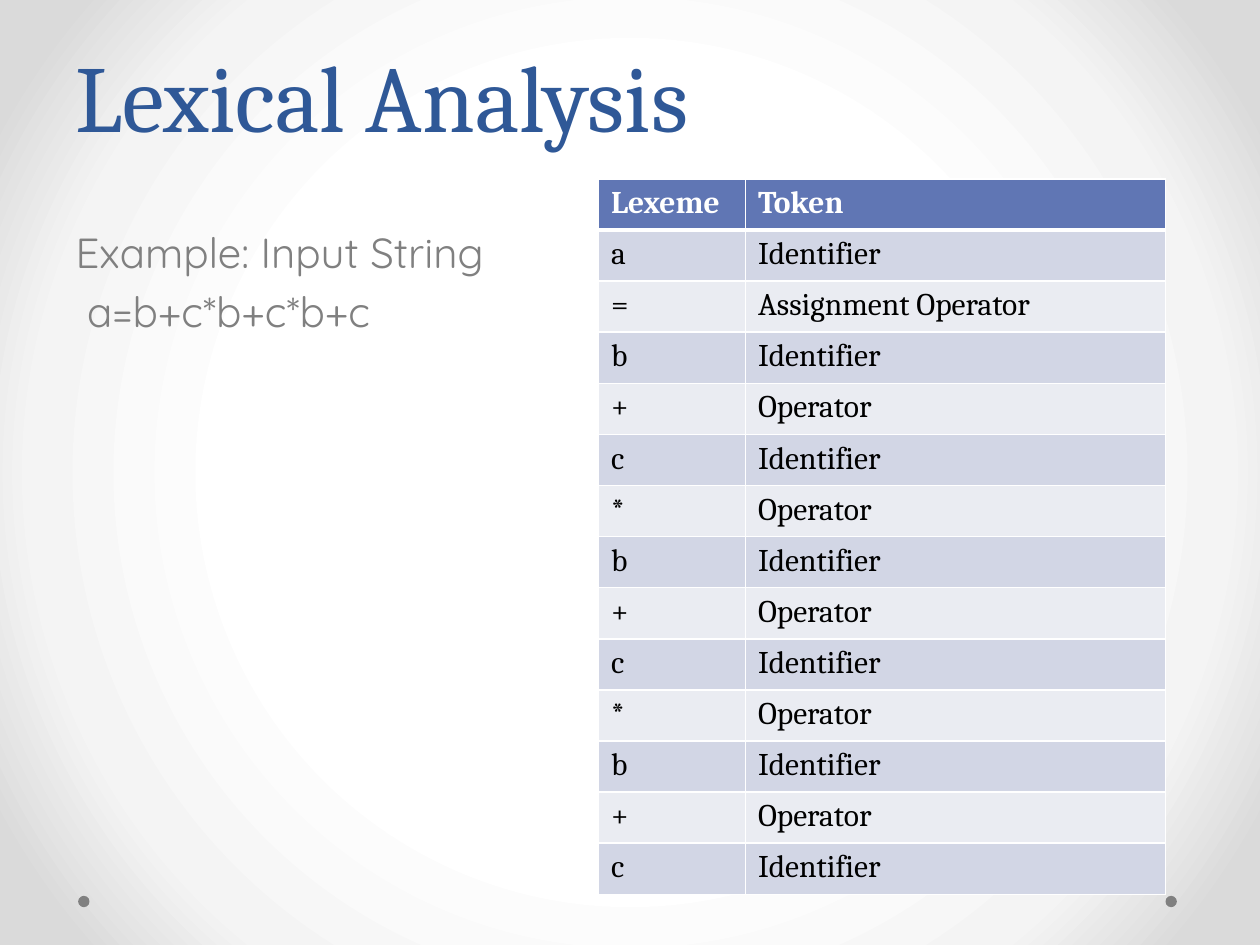
from pptx import Presentation
from pptx.dml.color import RGBColor
from pptx.enum.shapes import MSO_SHAPE as Kind
from pptx.enum.text import MSO_ANCHOR as Anchor, PP_ALIGN as Align
from pptx.oxml import parse_xml
from pptx.oxml.ns import nsdecls, qn
from pptx.util import Inches, Pt

WIDE, HIGH = Inches(10), Inches(7.5)
COLS = 120
UNIT = WIDE // COLS

BLUE = RGBColor(0x2F, 0x58, 0x97)
GRAY = RGBColor(0x80, 0x80, 0x80)
HEAD = RGBColor(0x60, 0x76, 0xB4)
DARK = RGBColor(0xD2, 0xD6, 0xE5)
PALE = RGBColor(0xEA, 0xEC, 0xF2)
SMOKE = RGBColor(0xF4, 0xF4, 0xF4)
ASH = RGBColor(0xDA, 0xDA, 0xDA)
WHITE = RGBColor(0xFF, 0xFF, 0xFF)
BLACK = RGBColor(0, 0, 0)

KINDS = {"=": "Assignment Operator", "+": "Operator", "*": "Operator"}
INPUT = "a=b+c*b+c*b+c"


def grid(*cells):
    return [round(cell * UNIT) for cell in cells]


def place(shape, box):
    shape.left, shape.top, shape.width, shape.height = grid(*box)


def write(para, text, font="Cambria", size=18, color=BLACK, bold=False):
    run = para.add_run()
    run.text = text
    run.font.name = font
    run.font.size = Pt(size)
    run.font.bold = bold
    run.font.color.rgb = color


def paint(slide):
    fill = slide.background.fill
    fill.solid()
    stops = "".join(
        f'<a:gs pos="{share * 1000}"><a:srgbClr val="{color}"/></a:gs>'
        for share, color in ((50, WHITE), (76, SMOKE), (92, ASH))
    )
    glow = parse_xml(
        f'<a:gradFill {nsdecls("a")} rotWithShape="1"><a:gsLst>{stops}</a:gsLst>'
        '<a:path path="circle"><a:fillToRect l="50000" t="50000" r="50000" b="50000"/>'
        "</a:path></a:gradFill>"
    )
    flat = next(slide.background._cSld.iter(qn("a:solidFill")))
    flat.getparent().replace(flat, glow)


def dots(slide, box):
    left, top, width, size = box
    for edge in (left, left + width - size):
        dot = slide.shapes.add_shape(Kind.OVAL, *grid(edge, top, size, size))
        dot.shadow.inherit = False
        dot.fill.solid()
        dot.fill.fore_color.rgb = GRAY
        dot.line.fill.background()


def title(slide, box):
    shape = slide.shapes.title
    place(shape, box)
    shape.text_frame.vertical_anchor = Anchor.BOTTOM
    para = shape.text_frame.paragraphs[0]
    para.alignment = Align.LEFT
    para.line_spacing = Pt(58)
    write(para, "Lexical Analysis", size=54, color=BLUE)


def body(slide, box):
    shape = slide.placeholders[1]
    place(shape, box)
    frame = shape.text_frame
    for row, text in enumerate(("Example: Input String", " " + INPUT)):
        para = frame.add_paragraph() if row else frame.paragraphs[0]
        props = para._p.get_or_add_pPr()
        props.set("marL", "0")
        props.set("indent", "0")
        props.append(parse_xml(f'<a:buNone {nsdecls("a")}/>'))
        para.space_before = Pt(4.8 * row)
        write(para, text, font="Quicksand", size=24, color=GRAY)


def rule(cell, base):
    props = cell._tc.get_or_add_tcPr()
    for side, width in (("L", 1), ("R", 1), ("T", 1), ("B", base)):
        props.append(parse_xml(
            f'<a:ln{side} {nsdecls("a")} w="{Pt(width)}"><a:solidFill>'
            f'<a:srgbClr val="{WHITE}"/></a:solidFill></a:ln{side}>'
        ))


def tokens(slide, box):
    rows = [("Lexeme", "Token")]
    rows += [(sign, KINDS.get(sign, "Identifier")) for sign in INPUT]
    table = slide.shapes.add_table(len(rows), 2, *grid(*box)).table
    for col, width in zip(table.columns, grid(14, box[2] - 14)):
        col.width = width
    for line in table.rows:
        line.height = round(box[3] * UNIT / len(rows))
    for row, pair in enumerate(rows):
        head = row == 0
        for col, text in enumerate(pair):
            cell = table.cell(row, col)
            rule(cell, 3 if head else 1)
            cell.fill.solid()
            cell.fill.fore_color.rgb = HEAD if head else DARK if row % 2 else PALE
            write(cell.text_frame.paragraphs[0], text,
                  color=WHITE if head else BLACK, bold=head)


def main():
    deck = Presentation()
    deck.slide_width, deck.slide_height = WIDE, HIGH
    slide = deck.slides.add_slide(deck.slide_layouts[1])
    paint(slide)
    dots(slide, (7.44, 85.32, 104.64, 1.08))
    title(slide, (6, 0, 108, 15))
    body(slide, (6, 21, 108, 59.4))
    tokens(slide, (57, 17.04, 54, 68.16))
    deck.save("out.pptx")


if __name__ == "__main__":
    main()
